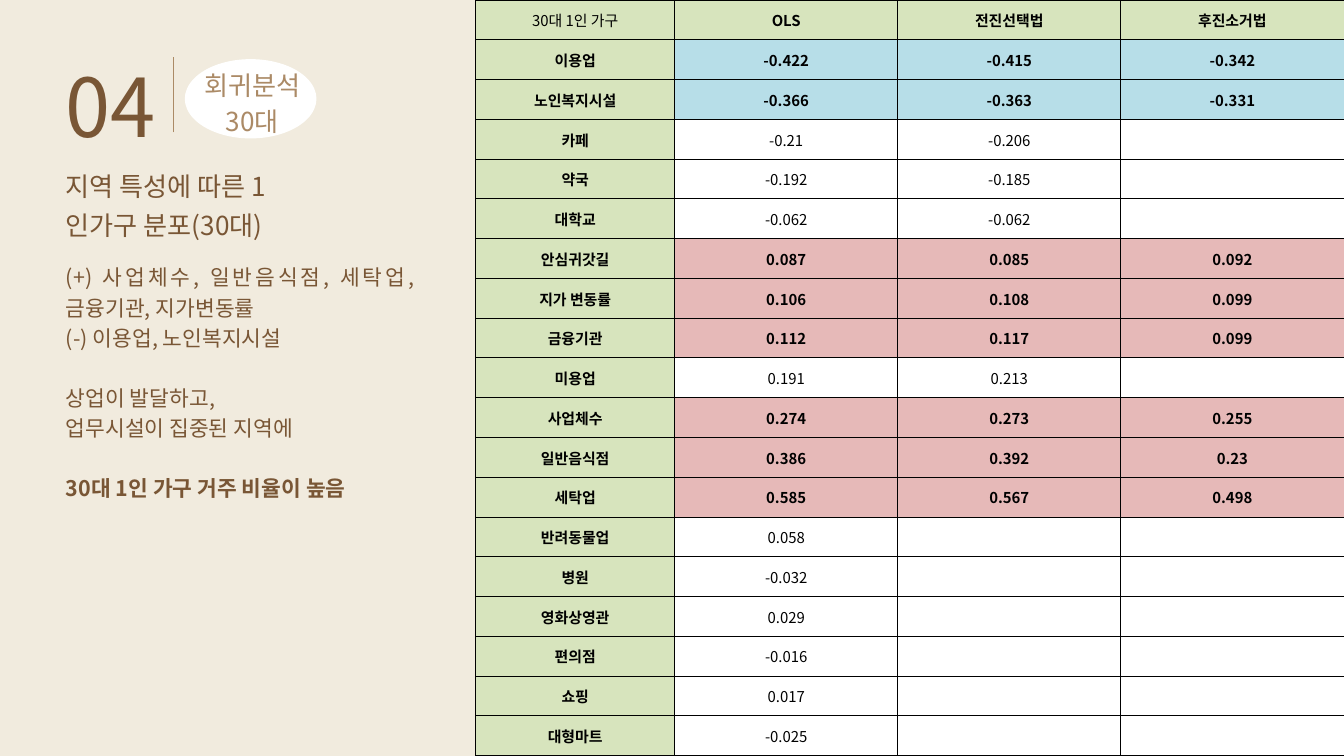
from dataclasses import dataclass

from lxml import etree
from pptx import Presentation
from pptx.dml.color import RGBColor
from pptx.enum.shapes import MSO_CONNECTOR, MSO_SHAPE
from pptx.enum.text import MSO_ANCHOR, PP_ALIGN
from pptx.oxml import parse_xml
from pptx.oxml.ns import nsdecls, qn
from pptx.util import Inches, Pt

LEFT, CENTER, JUSTIFY = PP_ALIGN.LEFT, PP_ALIGN.CENTER, PP_ALIGN.JUSTIFY
MIDDLE = MSO_ANCHOR.MIDDLE
OVAL = MSO_SHAPE.OVAL
STRAIGHT = MSO_CONNECTOR.STRAIGHT


@dataclass(frozen=True)
class Theme:
    font: str = "Noto Sans CJK KR"
    paper: str = "F1EBDE"
    brown: str = "795635"
    tan: str = "AB8A66"
    white: str = "FFFFFF"
    black: str = "000000"
    label: str = "D7E4BD"
    negative: str = "B7DEE8"
    positive: str = "E6B9B8"
    number_size: float = 87
    title_size: float = 28
    body_size: float = 23
    table_size: float = 16


THEME = Theme()

HEADERS = ["30대 1인 가구", "OLS", "전진선택법", "후진소거법"]
# Facility, then its coefficient under each method that kept it
COEFFICIENTS = [
    ("이용업", "-0.422", "-0.415", "-0.342"),
    ("노인복지시설", "-0.366", "-0.363", "-0.331"),
    ("카페", "-0.21", "-0.206", ""),
    ("약국", "-0.192", "-0.185", ""),
    ("대학교", "-0.062", "-0.062", ""),
    ("안심귀갓길", "0.087", "0.085", "0.092"),
    ("지가 변동률", "0.106", "0.108", "0.099"),
    ("금융기관", "0.112", "0.117", "0.099"),
    ("미용업", "0.191", "0.213", ""),
    ("사업체수", "0.274", "0.273", "0.255"),
    ("일반음식점", "0.386", "0.392", "0.23"),
    ("세탁업", "0.585", "0.567", "0.498"),
    ("반려동물업", "0.058", "", ""),
    ("병원", "-0.032", "", ""),
    ("영화상영관", "0.029", "", ""),
    ("편의점", "-0.016", "", ""),
    ("쇼핑", "0.017", "", ""),
    ("대형마트", "-0.025", "", ""),
]

# Text, bold, gap above in points
FINDINGS = [
    ("(+) 사업체수, 일반음식점, 세탁업, 금융기관, 지가변동률", False, 0),
    ("(-) 이용업, 노인복지시설", False, 0),
    ("상업이 발달하고,", False, 32.3),
    ("업무시설이 집중된 지역에", False, 0),
    ("30대 1인 가구 거주 비율이 높음", True, 32.3),
]


def color(value):
    return RGBColor.from_string(value)


def add_span(para, text, size, tint, bold=False):
    span = para.add_run()
    span.text = text
    span.font.name = THEME.font
    span.font.size = Pt(size)
    span.font.bold = bold
    span.font.color.rgb = color(tint)
    etree.SubElement(span.font._element, qn("a:ea"), typeface=THEME.font)


def add_text(page, left, top, width, height, lines, size, tint, spacing, align=LEFT):
    box = page.shapes.add_textbox(Inches(left), Inches(top), Inches(width), Inches(height))
    frame = box.text_frame
    frame.word_wrap = True
    frame.margin_left = frame.margin_right = frame.margin_top = frame.margin_bottom = 0
    for index, (text, bold, gap) in enumerate(lines):
        para = frame.add_paragraph() if index else frame.paragraphs[0]
        para.alignment = align
        para.line_spacing = Pt(spacing)
        if gap:
            para.space_before = Pt(gap)
        add_span(para, text, size, tint, bold)


def add_heading(page, left, top):
    # Section number
    add_text(page, left, top, 1.51, 1.58, [("04", False, 0)],
             THEME.number_size, THEME.brown, 121.9)

    # Vertical divider
    x = Inches(left + 1.6)
    divider = page.shapes.add_connector(STRAIGHT, x, Inches(top + 1.38), x, Inches(top + 0.26))
    divider.line.color.rgb = color(THEME.tan)
    divider.line.width = Pt(1.5)
    etree.SubElement(divider._element.spPr, qn("a:effectLst"))

    # Topic on a white oval
    oval = page.shapes.add_shape(OVAL, Inches(left + 1.77), Inches(top + 0.29),
                                 Inches(1.96), Inches(1.18))
    oval.shadow.inherit = False
    oval.fill.solid()
    oval.fill.fore_color.rgb = color(THEME.white)
    oval.line.fill.background()
    add_text(page, left + 1.97, top + 0.36, 1.61, 1.09,
             [("회귀분석", False, 0), ("30대", False, 0)],
             THEME.title_size, THEME.tan, 39.3, CENTER)


def add_summary(page, left, top):
    add_text(page, left, top, 4.02, 1.15, [("지역 특성에 따른 1인가구 분포(30대)", False, 0)],
             THEME.title_size, THEME.brown, 41.5)
    add_text(page, left, top + 1.44, 5.18, 3.59, FINDINGS,
             THEME.body_size, THEME.brown, 32.3, JUSTIFY)


def style_cell(cell, text, fill, bold):
    cell.margin_left = cell.margin_right = cell.margin_top = Inches(0.01)
    cell.margin_bottom = 0
    cell.vertical_anchor = MIDDLE
    cell.fill.solid()
    cell.fill.fore_color.rgb = color(fill)
    properties = cell._tc.get_or_add_tcPr()
    for index, side in enumerate(("lnL", "lnR", "lnT", "lnB")):
        properties.insert(index, parse_xml(
            f'<a:{side} {nsdecls("a")} w="{Pt(1)}"><a:solidFill>'
            f'<a:srgbClr val="{THEME.black}"/></a:solidFill></a:{side}>'))
    para = cell.text_frame.paragraphs[0]
    para.alignment = CENTER
    if text:
        add_span(para, text, THEME.table_size, THEME.black, bold)
    else:
        para.font.size = Pt(THEME.table_size)


def add_coefficient_table(page, left, top, width, height):
    rows = [HEADERS, *COEFFICIENTS]
    label_width = 2.96
    value_width = (width - label_width) / (len(HEADERS) - 1)
    table = page.shapes.add_table(len(rows), len(HEADERS), Inches(left), Inches(top),
                                  Inches(width), Inches(height)).table
    for index, column in enumerate(table.columns):
        column.width = Inches(value_width if index else label_width)
    for r, values in enumerate(rows):
        table.rows[r].height = Inches(height / len(rows))
        kept_by_all = all(values)
        for c, text in enumerate(values):
            if r == 0 or c == 0:
                fill, bold = THEME.label, r + c > 0
            elif kept_by_all:
                negative = text.startswith("-")
                fill, bold = THEME.negative if negative else THEME.positive, True
            else:
                fill, bold = THEME.white, False
            style_cell(table.cell(r, c), text, fill, bold)


def main():
    deck = Presentation()
    deck.slide_width, deck.slide_height = Inches(20), Inches(11.25)
    page = deck.slides.add_slide(deck.slide_layouts[6])
    page.background.fill.solid()
    page.background.fill.fore_color.rgb = color(THEME.paper)

    add_coefficient_table(page, 7.08, 0, 12.92, 11.25)
    add_summary(page, 0.98, 2.43)
    add_heading(page, 0.98, 0.59)
    deck.save("out.pptx")


if __name__ == "__main__":
    main()
